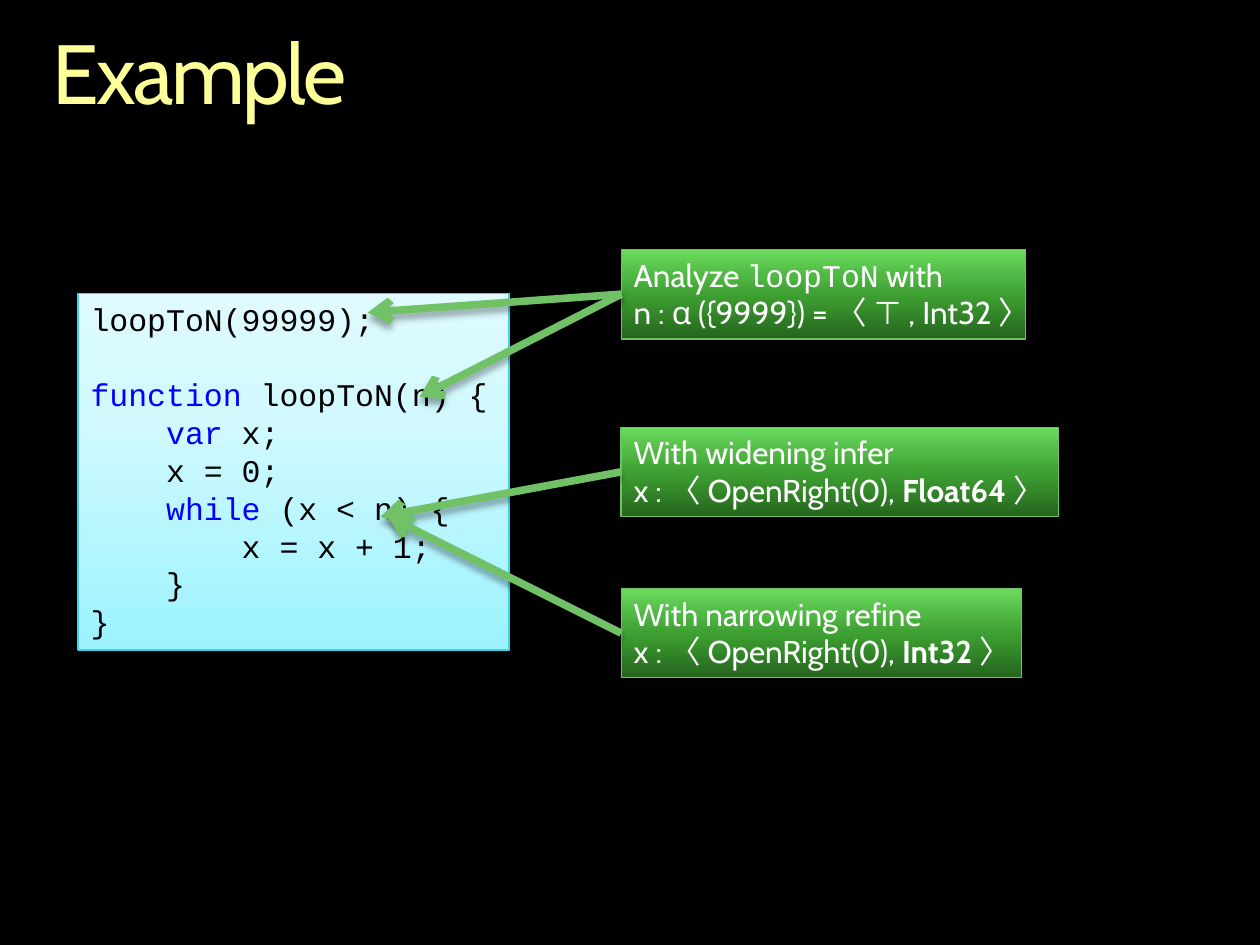
from dataclasses import dataclass
from lxml.etree import SubElement
from pptx import Presentation
from pptx.dml.color import RGBColor
from pptx.enum.shapes import MSO_CONNECTOR, MSO_SHAPE
from pptx.enum.text import MSO_ANCHOR, PP_ALIGN
from pptx.oxml.ns import qn
from pptx.util import Inches, Pt


@dataclass(frozen=True)
class Theme:
    background: str = "000000"
    title: str = "FFFF99"
    code: str = "000000"
    keyword: str = "0000FF"
    note: str = "FFFFFF"
    code_line: str = "3ED6E4"
    green: str = "71C267"
    code_fill: tuple = ((0, "9CF3FF"), (65, "D1F9FF"), (100, "DFFBFF"))
    note_fill: tuple = ((0, "25651D"), (50, "3EA032"), (70, "50B644"), (100, "6BDC5E"))
    sans: str = "Cabin"
    mono: str = "Courier New"
    title_size: int = 48
    text_size: int = 18


T = Theme()

# Run styles: font, colour, bold
STYLES = {
    "code": (T.mono, T.code, False),
    "keyword": (T.mono, T.keyword, False),
    "note": (T.sans, T.note, False),
    "bold": (T.sans, T.note, True),
    "name": (T.mono, T.note, False),
}

# Content: each line is a list of (text, style) runs
TITLE = "Example"
CODE = [
    [("loopToN(99999);", "code")],
    [],
    [("function ", "keyword"), ("loopToN(n) {", "code")],
    [("    ", "code"), ("var", "keyword"), (" x;", "code")],
    [("    x = 0;", "code")],
    [("    ", "code"), ("while", "keyword"), (" (x < n) {", "code")],
    [("        x = x + 1;", "code")],
    [("    }", "code")],
    [("}", "code")],
]
CODE_BOX = (0.62, 2.33, 3.42, 2.83)
NOTE_LEFT, NOTE_HEIGHT = 4.93, 0.71
# Notes: top, width, lines, arrow targets in the code
NOTES = [
    (1.98, 3.21,
     [[("Analyze ", "note"), ("loopToN", "name"), (" with", "note")],
      [("n : α ({9999}) = 〈 ⊤ , Int32 〉", "note")]],
     [(2.92, 2.48), (3.33, 3.15)]),
    (3.39, 3.47,
     [[("With widening infer", "note")],
      [("x : 〈 OpenRight(0), ", "note"), ("Float64 ", "bold"), ("〉", "note")]],
     [(3.02, 4.1)]),
    (4.67, 3.18,
     [[("With narrowing refine", "note")],
      [("x : 〈 OpenRight(0), ", "note"), ("Int32 ", "bold"), ("〉", "note")]],
     [(3.08, 4.1)]),
]


def rgb(color):
    return RGBColor.from_string(color)


def add_shadow(shape):
    """Soft black shadow straight below the shape."""
    sp_pr = shape._element.spPr
    effects = sp_pr.find(qn("a:effectLst"))
    if effects is None:
        effects = SubElement(sp_pr, qn("a:effectLst"))
    shadow = SubElement(effects, qn("a:outerShdw"), blurRad=str(Pt(4)),
                        dist=str(Pt(3)), dir="5400000", rotWithShape="0")
    color = SubElement(shadow, qn("a:srgbClr"), val="000000")
    SubElement(color, qn("a:alpha"), val="35000")


def fill_gradient(shape, stops):
    shape.fill.gradient()
    shape.fill.gradient_angle = 90
    stop_list = shape._element.spPr.find(qn("a:gradFill")).find(qn("a:gsLst"))
    for old in list(stop_list):
        stop_list.remove(old)
    for pos, color in stops:
        stop = SubElement(stop_list, qn("a:gs"), pos=str(pos * 1000))
        SubElement(stop, qn("a:srgbClr"), val=color)


def add_box(s, box, lines, stops, line_color, wrap):
    sp = s.shapes.add_shape(MSO_SHAPE.RECTANGLE, *map(Inches, box))
    fill_gradient(sp, stops)
    sp.line.color.rgb = rgb(line_color)
    sp.line.width = Pt(0.75)
    sp.shadow.inherit = False
    add_shadow(sp)
    tf = sp.text_frame
    tf.word_wrap = wrap
    tf.vertical_anchor = MSO_ANCHOR.TOP
    for i, runs in enumerate(lines):
        p = tf.paragraphs[0] if i == 0 else tf.add_paragraph()
        p.alignment = PP_ALIGN.LEFT
        p.font.size = Pt(T.text_size)
        for text, style in runs:
            r = p.add_run()
            r.text = text
            r.font.size = Pt(T.text_size)
            r.font.name, color, r.font.bold = STYLES[style]
            r.font.color.rgb = rgb(color)


def add_arrow(s, start, end):
    line = s.shapes.add_connector(MSO_CONNECTOR.STRAIGHT, *map(Inches, start + end))
    line.line.color.rgb = rgb(T.green)
    line.line.width = Pt(4.33)
    SubElement(line.line._get_or_add_ln(), qn("a:tailEnd"), type="arrow")
    add_shadow(line)


def add_title(s):
    title = s.shapes.title
    title.left, title.top, title.width, title.height = map(Inches, (0.42, 0.25, 9.17, 0.73))
    tf = title.text_frame
    tf.text = TITLE
    tf.margin_left = tf.margin_top = tf.margin_right = tf.margin_bottom = 0
    tf.vertical_anchor = MSO_ANCHOR.TOP
    p = tf.paragraphs[0]
    p.alignment = PP_ALIGN.LEFT
    p.line_spacing = 0.9
    r = p.runs[0]
    r.font.name, r.font.size = T.sans, Pt(T.title_size)
    r.font.color.rgb = rgb(T.title)
    r._r.get_or_add_rPr().set("spc", "-150")


def main():
    prs = Presentation()
    prs.slide_width, prs.slide_height = Inches(10), Inches(7.5)
    s = prs.slides.add_slide(prs.slide_layouts[5])
    s.background.fill.solid()
    s.background.fill.fore_color.rgb = rgb(T.background)

    add_title(s)
    add_box(s, CODE_BOX, CODE, T.code_fill, T.code_line, wrap=True)

    # Notes, each with arrows from the middle of its left edge
    for top, width, lines, targets in NOTES:
        add_box(s, (NOTE_LEFT, top, width, NOTE_HEIGHT), lines, T.note_fill, T.green, wrap=False)
        for target in targets:
            add_arrow(s, (NOTE_LEFT, top + NOTE_HEIGHT / 2), target)

    prs.save("out.pptx")


if __name__ == "__main__":
    main()
